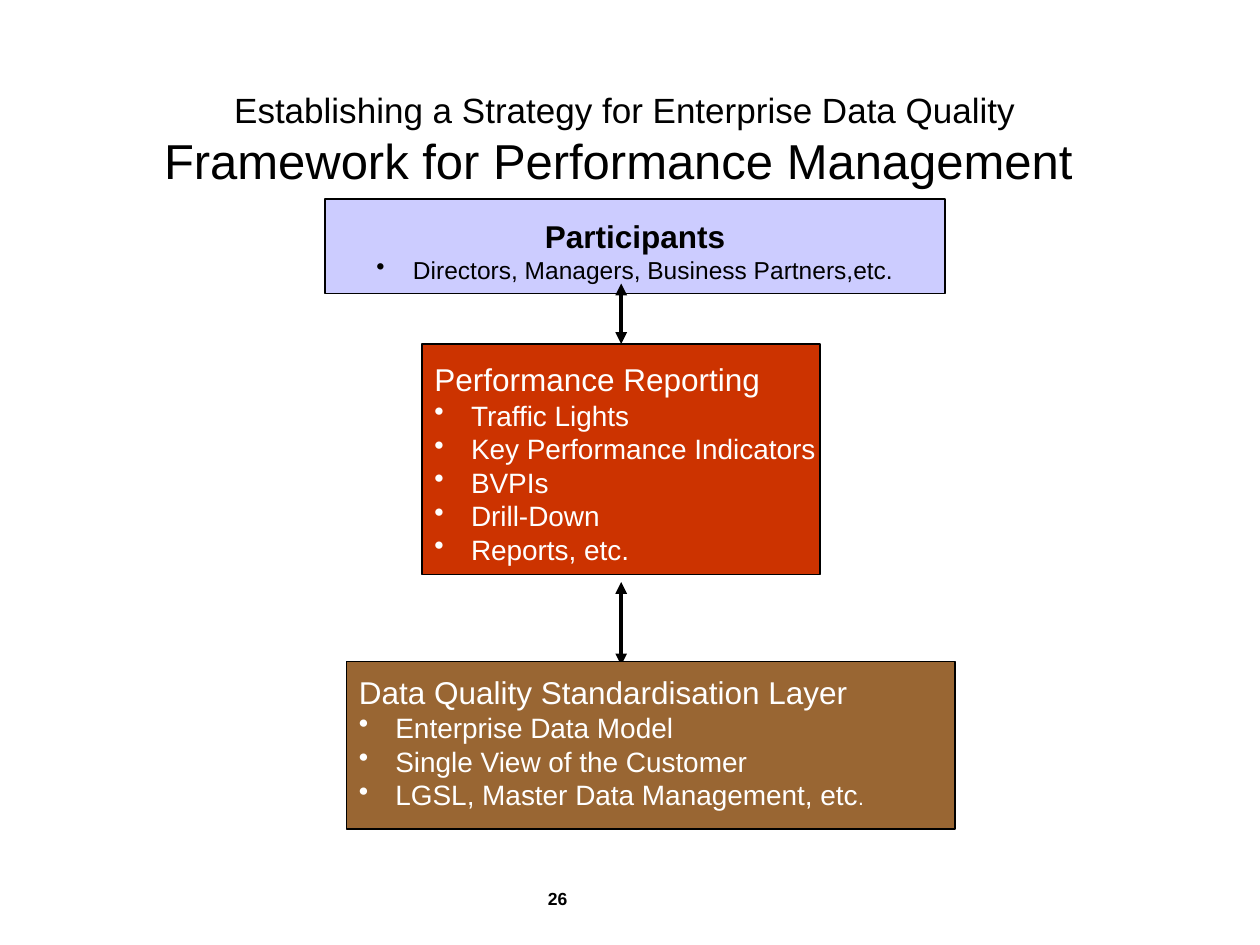
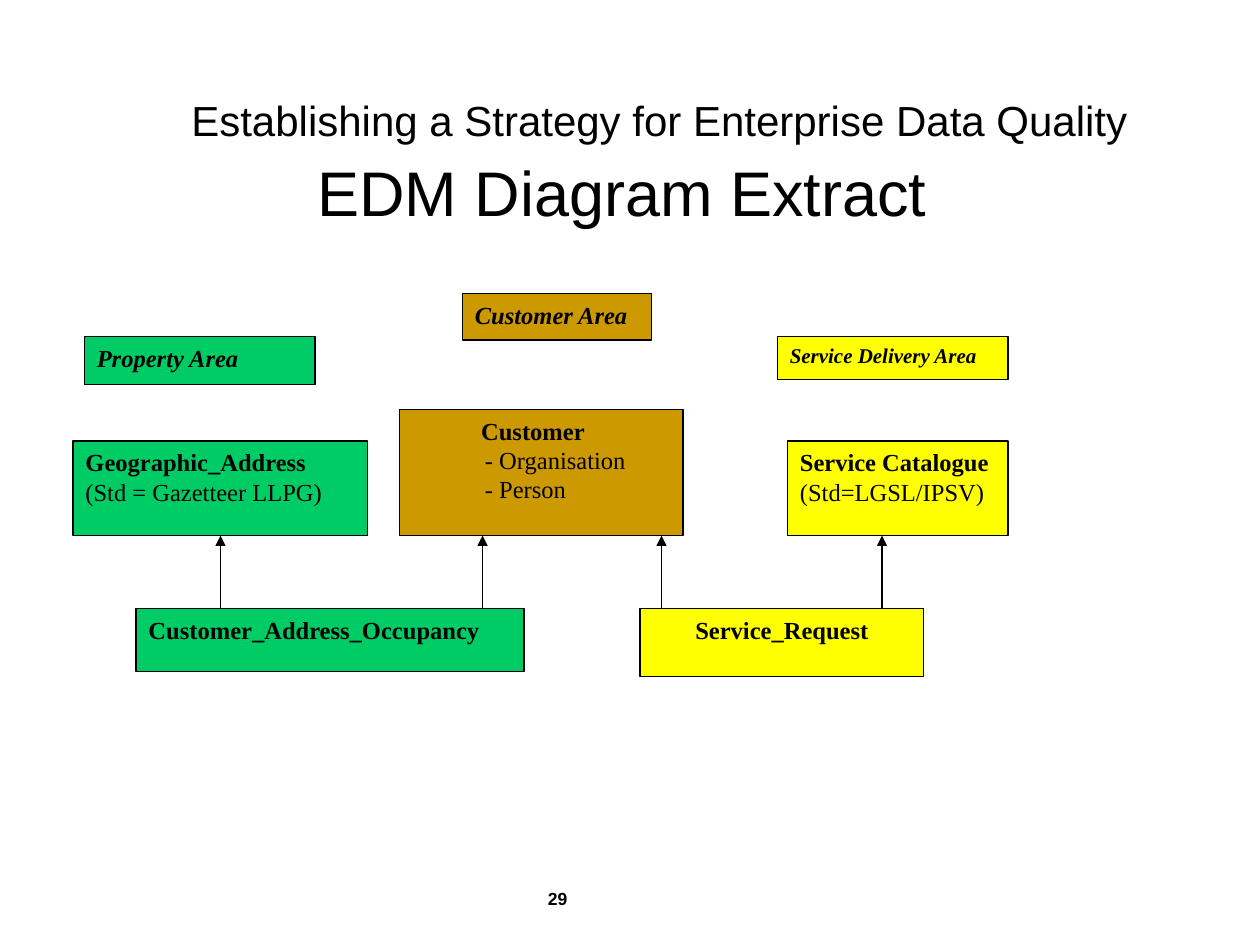
"""Build two slides on an enterprise data quality strategy."""
from dataclasses import dataclass

from lxml import etree
from pptx import Presentation
from pptx import util as u
from pptx.dml.color import RGBColor
from pptx.enum import shapes, text
from pptx.oxml.ns import qn


@dataclass(frozen=True)
class Style:
    size: float
    color: str = "000000"
    bold: bool = False
    italic: bool = False
    font: str = "Arial"


@dataclass(frozen=True)
class Theme:
    line: str = "000000"
    lavender: str = "CCCCFF"
    red: str = "CC3300"
    brown: str = "996633"
    gold: str = "CC9900"
    green: str = "00CC66"
    yellow: str = "FFFF00"
    thin: float = 0.75
    thick: float = 2.25
    bullet_indent: float = 0.29
    number: Style = Style(10, bold=True)
    strategy: Style = Style(20)
    topic: Style = Style(28)
    large_strategy: Style = Style(24)
    large_topic: Style = Style(36)
    participants: Style = Style(18, bold=True)
    participant_item: Style = Style(14)
    heading: Style = Style(18, "FFFFFF")
    item: Style = Style(16, "FFFFFF")
    full_stop: Style = Style(12, "FFFFFF")
    area: Style = Style(14, bold=True, italic=True, font="Times New Roman")
    small_area: Style = Style(12, bold=True, italic=True, font="Times New Roman")
    entity: Style = Style(14, bold=True, font="Times New Roman")
    detail: Style = Style(14, font="Times New Roman")


theme = Theme()
CENTER = text.PP_ALIGN.CENTER


def add_block(slide, place, paragraphs, fill=None, insets=(0.1, 0.05, 0.1, 0.05),
              align=text.PP_ALIGN.LEFT, anchor=text.MSO_ANCHOR.TOP):
    place = [u.Inches(value) for value in place]
    if fill:
        shape = slide.shapes.add_shape(shapes.MSO_SHAPE.RECTANGLE, *place)
        shape.shadow.inherit = False
        shape.fill.solid()
        shape.fill.fore_color.rgb = RGBColor.from_string(fill)
        shape.line.color.rgb = RGBColor.from_string(theme.line)
        shape.line.width = u.Pt(theme.thin)
    else:
        shape = slide.shapes.add_textbox(*place)
    frame = shape.text_frame
    frame.word_wrap = True
    frame.vertical_anchor = anchor
    frame.margin_left, frame.margin_top, frame.margin_right, frame.margin_bottom = [
        u.Inches(inset) for inset in insets]
    for index, (runs, options) in enumerate(paragraphs):
        paragraph = frame.add_paragraph() if index else frame.paragraphs[0]
        paragraph.alignment = align
        paragraph.space_before = u.Pt(options.get("before", 0))
        properties = paragraph._p.get_or_add_pPr()
        bullet = options.get("bullet", False)
        indent = theme.bullet_indent if bullet else options.get("indent", 0)
        properties.set("marL", str(u.Inches(indent)))
        properties.set("indent", str(-u.Inches(indent) if bullet else 0))
        if bullet:
            etree.SubElement(properties, qn("a:buChar")).set("char", "•")
        for words, style in runs:
            run = paragraph.add_run()
            run.text = words
            run.font.name = style.font
            run.font.size = u.Pt(style.size)
            run.font.bold = style.bold
            run.font.italic = style.italic
            run.font.color.rgb = RGBColor.from_string(style.color)
    return shape


def add_arrow(slide, x, start, end, width, heads):
    arrow = slide.shapes.add_connector(
        shapes.MSO_CONNECTOR.STRAIGHT,
        u.Inches(x), u.Inches(start), u.Inches(x), u.Inches(end))
    arrow.line.color.rgb = RGBColor.from_string(theme.line)
    arrow.line.width = u.Pt(width)
    for head in heads:
        etree.SubElement(arrow.line._get_or_add_ln(), qn(head)).set("type", "triangle")
    etree.SubElement(arrow._element.spPr, qn("a:effectLst"))
    return arrow


presentation = Presentation()
presentation.slide_width = u.Inches(10)
presentation.slide_height = u.Inches(7.5)

slides = []
for number in ("26", "29"):
    slide = presentation.slides.add_slide(presentation.slide_layouts[6])
    add_block(slide, (4.25, 7, 0.58, 0.27), [([(number, theme.number)], {})])
    slides.append(slide)
framework, diagram = slides
strategy_title = "Establishing a Strategy for Enterprise Data Quality"

add_block(framework, (0.75, 0.83, 8.42, 1), [
    ([(strategy_title, theme.strategy)], {}),
    ([("Framework for Performance Management ", theme.topic)], {}),
], insets=(0.1, 0.05, 0.1, 0.5), align=CENTER, anchor=text.MSO_ANCHOR.MIDDLE)

add_block(framework, (2.58, 1.58, 4.92, 0.75), [
    ([("Participants", theme.participants)], {}),
    ([("Directors, Managers, Business Partners,etc.", theme.participant_item)],
     {"bullet": True}),
], theme.lavender, (0.1, 0.14, 0.1, 0.05), CENTER)

reporting_items = ["Traffic Lights", "Key Performance Indicators", "BVPIs",
                   "Drill-Down", "Reports, etc."]
reporting = add_block(
    framework, (3.35, 2.73, 3.16, 1.83),
    [([("Performance Reporting", theme.heading)], {})]
    + [([(item, theme.item)], {"bullet": True}) for item in reporting_items],
    theme.red, (0.1, 0.13, 0, 0.05))

both_heads = ("a:headEnd", "a:tailEnd")
participants_arrow = add_arrow(framework, 4.93, 2.25, 2.73, theme.thick, both_heads)
participants_arrow.end_connect(reporting, 0)
add_arrow(framework, 4.93, 4.62, 5.28, theme.thick, both_heads)

add_block(framework, (2.75, 5.25, 4.83, 1.33), [
    ([("Data Quality Standardisation Layer", theme.heading)], {}),
    ([("Enterprise Data Model", theme.item)], {"bullet": True}),
    ([("Single View of the Customer", theme.item)], {"bullet": True}),
    ([("LGSL, Master Data Management, etc", theme.item), (".", theme.full_stop)],
     {"bullet": True}),
], theme.brown, (0.1, 0.09, 0, 0.05))

add_block(diagram, (0.42, 0.5, 9.25, 1.3), [
    ([(strategy_title, theme.large_strategy)], {"indent": 1}),
    ([("EDM Diagram Extract", theme.large_topic)], {"indent": 2, "before": 5}),
], insets=(0.1, 0.25, 0.1, 0.05))

areas = [
    ("Customer Area", (3.67, 2.33, 1.5, 0.37), theme.gold, theme.area),
    ("Property Area", (0.67, 2.67, 1.83, 0.38), theme.green, theme.area),
    ("Service Delivery Area", (6.17, 2.67, 1.83, 0.34), theme.yellow, theme.small_area),
]
for name, place, fill, style in areas:
    add_block(diagram, place, [([(name, style)], {})], fill)

entities = [
    ("Customer", ["- Organisation", "- Person"], (3.17, 3.25, 2.25, 1), theme.gold, 0.55, 0.58),
    ("Geographic_Address", ["(Std = Gazetteer LLPG)"], (0.58, 3.5, 2.34, 0.75),
     theme.green, 0, 0),
    ("Service Catalogue", ["(Std=LGSL/IPSV)"], (6.25, 3.5, 1.75, 0.75), theme.yellow, 0, 0),
    ("Customer_Address_Occupancy", [], (1.08, 4.83, 3.08, 0.5), theme.green, 0, 0),
    ("Service_Request", [], (5.08, 4.83, 2.25, 0.54), theme.yellow, 0.34, 0),
]
entity_boxes = {}
for name, details, place, fill, name_indent, detail_indent in entities:
    paragraphs = [([(name, theme.entity)], {"indent": name_indent})]
    paragraphs += [([(detail, theme.detail)], {"indent": detail_indent}) for detail in details]
    entity_boxes[name] = add_block(diagram, place, paragraphs, fill)

for x in (1.75, 3.83, 5.25, 7):
    relation = add_arrow(diagram, x, 4.83, 4.25, theme.thin, ("a:tailEnd",))
    if x == 1.75:
        relation.end_connect(entity_boxes["Geographic_Address"], 2)

presentation.save("out.pptx")
